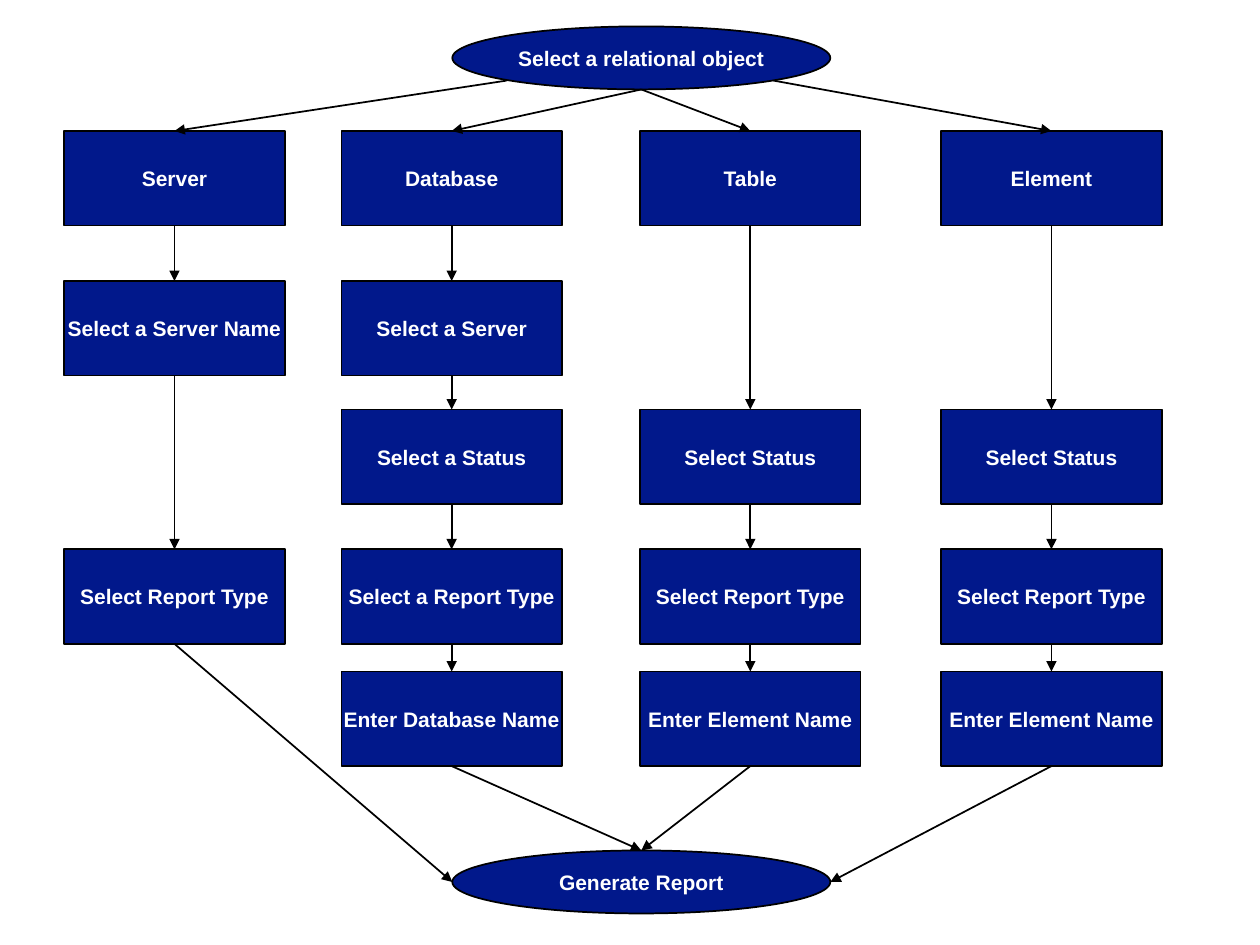
import pptx
import pptx.dml.color
import pptx.enum.shapes
import pptx.enum.text
import pptx.oxml
import pptx.oxml.ns
import pptx.util
from pptx.util import Inches

SHAPE = pptx.enum.shapes.MSO_SHAPE
BLACK = pptx.dml.color.RGBColor.from_string("000000")
NAVY = pptx.dml.color.RGBColor.from_string("01188B")
WHITE = pptx.dml.color.RGBColor.from_string("FFFFFF")
FONT = {"name": "Arial", "size": pptx.util.Pt(12), "bold": True}
BOX_W, BOX_H = 1.75, 0.75
OVAL_X, OVAL_W, OVAL_H = 3.59, 3, 0.5
START_Y, END_Y = 0.21, 6.75
ROWS = [1.04, 2.23, 3.25, 4.36, 5.33]

# Left edge of each column, and its label in each row
COLUMNS = [
    (0.51, ["Server", "Select a Server Name", None, "Select Report Type", None]),
    (2.71, ["Database", "Select a Server", "Select a Status",
            "Select a Report Type", "Enter Database Name"]),
    (5.08, ["Table", None, "Select Status", "Select Report Type", "Enter Element Name"]),
    (7.47, ["Element", None, "Select Status", "Select Report Type", "Enter Element Name"]),
]

prs = pptx.Presentation()
prs.slide_width, prs.slide_height = Inches(10), Inches(7.5)
s = prs.slides.add_slide(prs.slide_layouts[6])


def add_step(kind, x, y, w, h, text):
    sp = s.shapes.add_shape(kind, Inches(x), Inches(y), Inches(w), Inches(h))
    sp.shadow.inherit = False
    sp.fill.solid()
    sp.fill.fore_color.rgb = NAVY
    sp.line.color.rgb = BLACK
    sp.line.width = pptx.util.Pt(1)
    tf = sp.text_frame
    tf.word_wrap = False
    tf.vertical_anchor = pptx.enum.text.MSO_ANCHOR.MIDDLE
    p = tf.paragraphs[0]
    p.alignment = pptx.enum.text.PP_ALIGN.CENTER
    r = p.add_run()
    r.text = text
    for name, value in FONT.items():
        setattr(r.font, name, value)
    r.font.color.rgb = WHITE
    return sp


def add_arrow(start=(0, 0), end=(0, 0), source=None, target=None):
    """Draw an arrow; a source box is left at its bottom, a target box met at its top."""
    c = s.shapes.add_connector(pptx.enum.shapes.MSO_CONNECTOR.STRAIGHT,
                               *[Inches(v) for v in (*start, *end)])
    if source is not None:
        c.begin_connect(source, 2)
    if target is not None:
        c.end_connect(target, 0)
    c.line.color.rgb = BLACK
    c.line.width = pptx.util.Pt(1)
    ln = c.line._get_or_add_ln()
    ln.append(pptx.oxml.parse_xml(
        f'<a:tailEnd {pptx.oxml.ns.nsdecls("a")} type="triangle" w="med" len="med"/>'))
    ln.addnext(pptx.oxml.parse_xml(f'<a:effectLst {pptx.oxml.ns.nsdecls("a")}/>'))


add_step(SHAPE.OVAL, OVAL_X, START_Y, OVAL_W, OVAL_H, "Select a relational object")
add_step(SHAPE.OVAL, OVAL_X, END_Y, OVAL_W, OVAL_H, "Generate Report")

# Where each column's arrows leave the first oval and reach the last one
mid_x = OVAL_X + OVAL_W / 2
bottom = (mid_x, START_Y + OVAL_H)
exits = [(4.02, 0.64), bottom, bottom, (6.14, 0.64)]
top, side_y = (mid_x, END_Y), END_Y + OVAL_H / 2
entries = [(OVAL_X, side_y), top, top, (OVAL_X + OVAL_W, side_y)]

for (x, labels), leave, enter in zip(COLUMNS, exits, entries):
    boxes = [add_step(SHAPE.RECTANGLE, x, y, BOX_W, BOX_H, label)
             for y, label in zip(ROWS, labels) if label]
    add_arrow(start=leave, target=boxes[0])
    for upper, lower in zip(boxes, boxes[1:]):
        add_arrow(source=upper, target=lower)
    add_arrow(source=boxes[-1], end=enter)

prs.save("out.pptx")
